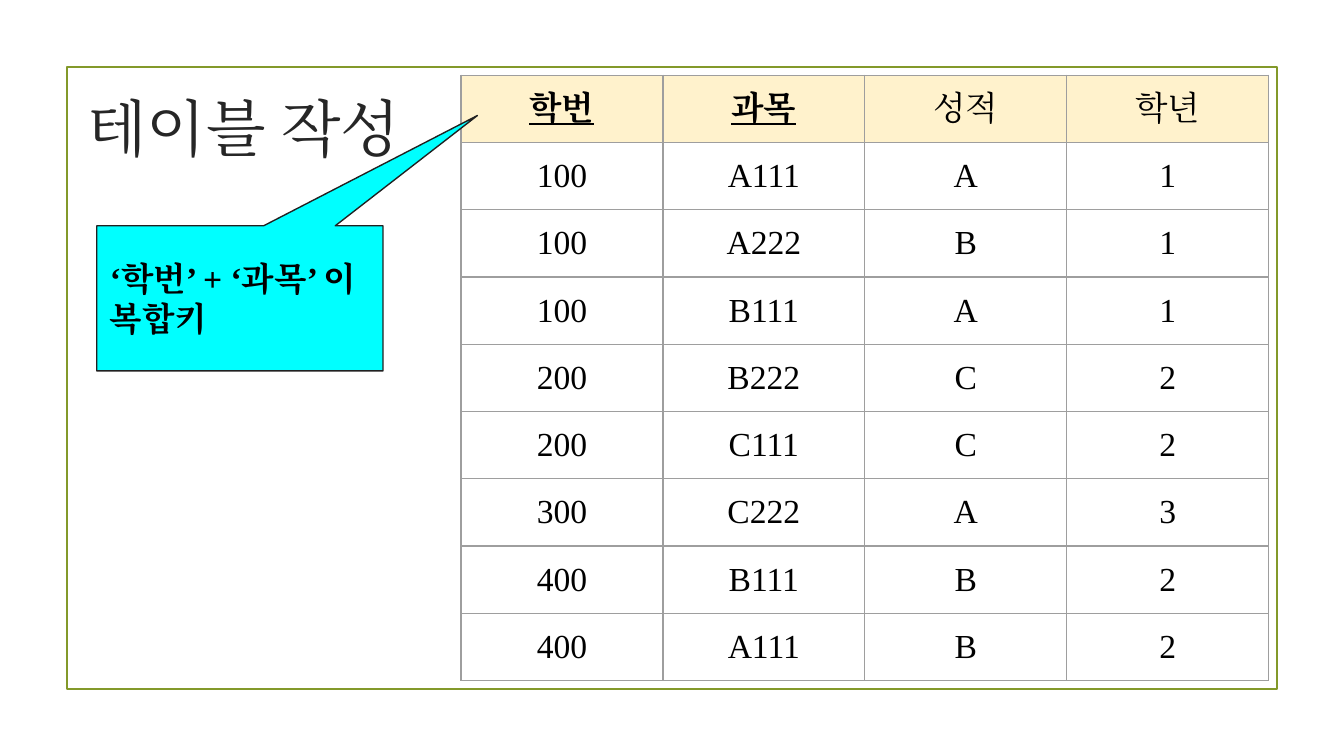
"""Build a slide showing a table whose composite key is marked by a callout."""
import pptx
import pptx.util
import pptx.dml.color
import pptx.enum.lang
import pptx.enum.shapes
import pptx.enum.text
import pptx.oxml
from pptx.oxml.ns import nsdecls

Inches, Pt = pptx.util.Inches, pptx.util.Pt
SHAPE = pptx.enum.shapes.MSO_SHAPE
MIDDLE = pptx.enum.text.MSO_ANCHOR.MIDDLE
ALIGN = pptx.enum.text.PP_ALIGN
KOREAN = pptx.enum.lang.MSO_LANGUAGE_ID.KOREAN

TITLE = "테이블 작성"
CALLOUT = "‘학번’ + ‘과목’ 이 복합키"
HEADERS = ["학번", "과목", "성적", "학년"]
KEYS = {"학번", "과목"}
ROWS = [
    ("100", "A111", "A", "1"),
    ("100", "A222", "B", "1"),
    ("100", "B111", "A", "1"),
    ("200", "B222", "C", "2"),
    ("200", "C111", "C", "2"),
    ("300", "C222", "A", "3"),
    ("400", "B111", "B", "2"),
    ("400", "A111", "B", "2"),
]
COLORS = {
    "frame": "83992A", "title": "262626", "text": "000000", "header": "FFF2CC",
    "border": "9E9E9E", "callout": "00FFFF", "outline": "212121",
}
FONT = "Times New Roman"
TABLE_WIDTH, ROW_HEIGHT, INSET = 6.01, 0.48, 0.1


def rgb(name):
    return pptx.dml.color.RGBColor.from_string(COLORS[name])


def set_margins(target):
    for side in ("left", "right", "top", "bottom"):
        setattr(target, f"margin_{side}", Inches(INSET))


def write(tf, text, size=18, color="text", bold=False, underline=False, align=ALIGN.LEFT):
    p = tf.paragraphs[0]
    p.alignment = align
    r = p.add_run()
    r.text = text
    r.font.name, r.font.size = FONT, Pt(size)
    r.font.bold, r.font.underline = bold, underline
    r.font.color.rgb = rgb(color)
    r.font.language_id = KOREAN
    r_pr = r._r.get_or_add_rPr()
    for tag in ("ea", "cs"):
        r_pr.append(pptx.oxml.parse_xml(f'<a:{tag} {nsdecls("a")} typeface="{FONT}"/>'))


def fill_box(sp, text, **style):
    tf = sp.text_frame
    tf.word_wrap, tf.vertical_anchor = True, MIDDLE
    set_margins(tf)
    write(tf, text, **style)


def add_shape(slide, kind, box, line, width):
    sp = slide.shapes.add_shape(kind, *map(Inches, box))
    sp.shadow.inherit = False
    sp.line.color.rgb, sp.line.width = rgb(line), Pt(width)
    return sp


def add_borders(cell):
    tc_pr = cell._tc.get_or_add_tcPr()
    for i, side in enumerate("LRTB"):
        tc_pr.insert(i, pptx.oxml.parse_xml(
            f'<a:ln{side} {nsdecls("a")} w="{Pt(0.75)}"><a:solidFill>'
            f'<a:srgbClr val="{COLORS["border"]}"/></a:solidFill></a:ln{side}>'))


def add_grades(slide):
    data = [HEADERS] + ROWS
    table = slide.shapes.add_table(
        len(data), len(HEADERS), Inches(3.43), Inches(0.56),
        Inches(TABLE_WIDTH), Inches(ROW_HEIGHT * len(data))).table
    for i, values in enumerate(data):
        for j, value in enumerate(values):
            cell = table.cell(i, j)
            if i == 0:
                cell.fill.solid()
                cell.fill.fore_color.rgb = rgb("header")
            else:
                cell.fill.background()
            cell.vertical_anchor = MIDDLE
            set_margins(cell)
            is_key = value in KEYS
            write(cell.text_frame, value, bold=is_key, underline=is_key, align=ALIGN.CENTER)
            add_borders(cell)


def main():
    prs = pptx.Presentation()
    prs.slide_width = Inches(10)
    prs.slide_height = prs.slide_width * 9 // 16
    slide = prs.slides.add_slide(prs.slide_layouts[6])

    frame = add_shape(slide, SHAPE.RECTANGLE, (0.5, 0.5, 9, 4.63), "frame", 1.25)
    frame.fill.background()

    title = slide.shapes.add_textbox(*map(Inches, (0.55, 0.56, 2.88, 0.77)))
    fill_box(title, TITLE, size=33, color="title")

    add_grades(slide)

    callout = add_shape(slide, SHAPE.RECTANGULAR_CALLOUT, (0.72, 1.68, 2.13, 1.08), "outline", 0.75)
    callout.adjustments[0], callout.adjustments[1] = 0.83, -1.26
    callout.fill.solid()
    callout.fill.fore_color.rgb = rgb("callout")
    fill_box(callout, CALLOUT, bold=True)

    prs.save("out.pptx")


if __name__ == "__main__":
    main()
